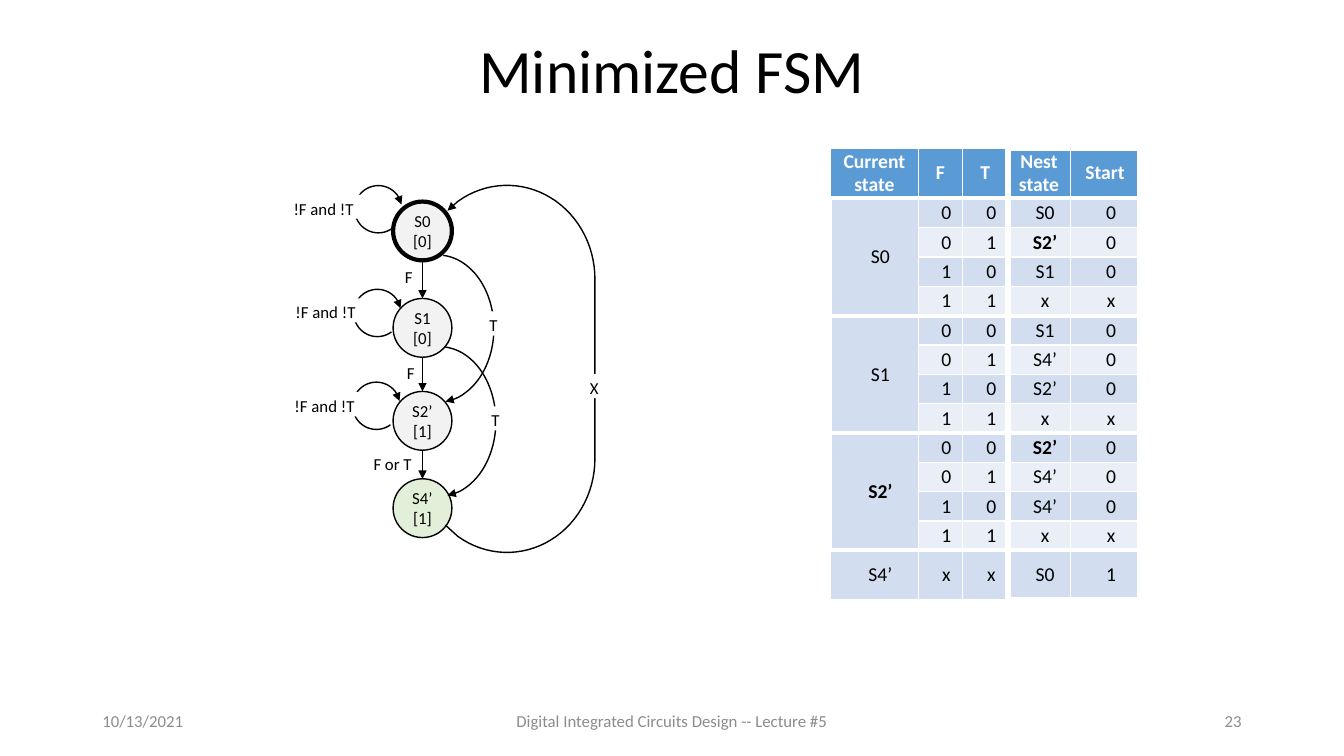
from math import cos, radians, sin
from lxml.etree import SubElement
from pptx import Presentation
from pptx.dml.color import RGBColor
from pptx.enum.shapes import MSO_CONNECTOR as CONN, MSO_SHAPE as SHAPE
from pptx.enum.text import MSO_ANCHOR as ANCHOR, MSO_AUTO_SIZE as AUTO, PP_ALIGN as ALIGN
from pptx.oxml.ns import qn
from pptx.util import Pt

BLACK = RGBColor(0x00, 0x00, 0x00)
WHITE = RGBColor(0xFF, 0xFF, 0xFF)
GREY = RGBColor(0x8C, 0x8C, 0x8C)
NODE_GREY = RGBColor(0xF2, 0xF2, 0xF2)
NODE_GREEN = RGBColor(0xE2, 0xF0, 0xD9)
HEADER_BLUE = RGBColor(0x5B, 0x9B, 0xD5)
BAND_DARK = RGBColor(0xD2, 0xDE, 0xEF)
BAND_LIGHT = RGBColor(0xEA, 0xEF, 0xF7)


def write(tf, text, size=12, color=BLACK, bold=False, align=ALIGN.CENTER, spacing=None, wrap=True):
    """Fill a text frame with one formatted paragraph per line of text."""
    tf.word_wrap = wrap
    tf.vertical_anchor = ANCHOR.MIDDLE
    for i, line in enumerate(text.split("\n")):
        p = tf.paragraphs[0] if i == 0 else tf.add_paragraph()
        p.alignment = align
        p.line_spacing = spacing
        r = p.add_run()
        r.text = line
        r.font.name = "Calibri"
        r.font.size = Pt(size)
        r.font.bold = bold
        r.font.color.rgb = color


def stroke(sp, width=1, arrow=None):
    """Give a shape a black line without shadow, with an optional headEnd or tailEnd arrow."""
    sp.line.color.rgb = BLACK
    sp.line.width = Pt(width)
    spPr = sp._element.spPr
    if arrow:
        SubElement(spPr.find(qn("a:ln")), qn("a:" + arrow)).set("type", "triangle")
    SubElement(spPr, qn("a:effectLst"))


prs = Presentation()
prs.slide_width, prs.slide_height = Pt(960), Pt(540)
slide = prs.slides.add_slide(prs.slide_layouts[5])
shapes = slide.shapes

# Title and footer
title = shapes.title
title.left, title.top, title.width, title.height = Pt(66), Pt(24), Pt(828), Pt(57)
title.text_frame.auto_size = AUTO.NONE
write(title.text_frame, "Minimized FSM", size=44, spacing=0.9)

for left, width, text, align in [
    (66, 216, "10/13/2021", ALIGN.LEFT),
    (318, 324, "Digital Integrated Circuits Design -- Lecture #5", ALIGN.CENTER),
    (678, 216, "23", ALIGN.RIGHT),
]:
    box = shapes.add_textbox(Pt(left), Pt(500.5), Pt(width), Pt(28.8))
    write(box.text_frame, text, color=GREY, align=align)

# States
NODE_SIZE, NODE_LEFT = 42, 280.8
node_tops = [144, 213.2, 279.6, 342]
node_texts = ["S0\n[0]", "S1\n[0]", "S2’\n[1]", "S4’\n[1]"]
for i, (top, text) in enumerate(zip(node_tops, node_texts)):
    node = shapes.add_shape(SHAPE.OVAL, Pt(NODE_LEFT), Pt(top), Pt(NODE_SIZE), Pt(NODE_SIZE))
    stroke(node, width=3 if i == 0 else 1)
    node.fill.solid()
    node.fill.fore_color.rgb = NODE_GREEN if i == 3 else NODE_GREY
    write(node.text_frame, text, wrap=False)

# Straight transitions from each state to the next
center_x = NODE_LEFT + NODE_SIZE / 2
for top, next_top in zip(node_tops, node_tops[1:]):
    arrow = shapes.add_connector(
        CONN.STRAIGHT, Pt(center_x), Pt(top + NODE_SIZE), Pt(center_x), Pt(next_top))
    stroke(arrow, arrow="tailEnd")

# Self loops (head arrow) and skip transitions (tail arrow)
LOOP = ((114.92, 75.89), ("flipH",), "headEnd")
SKIP = ((56.5, 158.5), ("flipH", "flipV"), "tailEnd")
for left, top, width, height, (angles, flips, end) in [
    (253.4, 132.6, 33.8, 33.8, LOOP),
    (252.7, 206.7, 33.8, 33.8, LOOP),
    (252, 273, 33.8, 33.8, LOOP),
    (272.9, 182.2, 79.9, 105.1, SKIP),
    (274.3, 247.7, 79.9, 106.6, SKIP),
]:
    arc = shapes.add_shape(SHAPE.ARC, Pt(left), Pt(top), Pt(width), Pt(height))
    arc.adjustments[0], arc.adjustments[1] = angles
    for flip in flips:
        arc._element.spPr.find(qn("a:xfrm")).set(flip, "1")
    arc.fill.background()
    stroke(arc, arrow=end)

# Return transition from S4’ to S0: two elliptical bends joined by a straight side
BEND_X, LOWER_Y, UPPER_Y, RX, RY = 362.2, 327.6, 199.4, 62.8, 67
bends = [(a, LOWER_Y) for a in range(124, -1, -4)] + [(-a, UPPER_Y) for a in range(0, 125, 4)]
points = [(BEND_X + RX * cos(radians(a)), y + RY * sin(radians(a))) for a, y in bends]
points.append((319.7, 150.5))
builder = shapes.build_freeform(Pt(318.2), Pt(375.1))
builder.add_line_segments([(Pt(x), Pt(y)) for x, y in points], close=False)
back = builder.convert_to_shape()
back.fill.background()
stroke(back, arrow="tailEnd")

# Transition labels
for left, top, width, text in [
    (203.8, 139, 54.7, "!F and !T"),
    (205.2, 213.1, 54.7, "!F and !T"),
    (204.5, 280.1, 54.7, "!F and !T"),
    (285.1, 187.9, 13.7, "F"),
    (286.6, 256.3, 13.7, "F"),
    (265.7, 321.8, 29.5, "F or T"),
    (345.6, 222.5, 13.7, "T"),
    (347, 290.2, 13.7, "T"),
    (417.6, 267.1, 13.7, "X"),
]:
    label = shapes.add_shape(SHAPE.RECTANGLE, Pt(left), Pt(top), Pt(width), Pt(17.3))
    label.shadow.inherit = False
    label.fill.solid()
    label.fill.fore_color.rgb = WHITE
    label.line.fill.background()
    tf = label.text_frame
    tf.margin_left = tf.margin_right = tf.margin_bottom = 0
    tf.margin_top = Pt(2.9)
    write(tf, text, spacing=Pt(13.8))

# State table
rows = [
    ["Current state", "F", "T", "Nest state", "Start"],
    ["S0", "0", "0", "S0", "0"],
    ["", "0", "1", "S2’", "0"],
    ["", "1", "0", "S1", "0"],
    ["", "1", "1", "x", "x"],
    ["S1", "0", "0", "S1", "0"],
    ["", "0", "1", "S4’", "0"],
    ["", "1", "0", "S2’", "0"],
    ["", "1", "1", "x", "x"],
    ["S2’", "0", "0", "S2’", "0"],
    ["", "0", "1", "S4’", "0"],
    ["", "1", "0", "S4’", "0"],
    ["", "1", "1", "x", "x"],
    ["S4’", "x", "x", "S0", "1"],
]
bold_cells = {(2, 3), (9, 0), (9, 3)}
col_widths = [62.6, 31.7, 32.4, 44.4, 50]
row_heights = [35.9] + [20.95] * 12 + [35.3]
LAST = len(rows) - 1
table = shapes.add_table(len(rows), len(col_widths), Pt(593.3), Pt(105.8),
                         Pt(sum(col_widths)), Pt(sum(row_heights))).table
for column, width in zip(table.columns, col_widths):
    column.width = Pt(width)
for row, height in zip(table.rows, row_heights):
    row.height = Pt(height)

for i, values in enumerate(rows):
    for j, text in enumerate(values):
        cell = table.cell(i, j)
        header, state = i == 0, j == 0 and 0 < i < LAST
        cell.margin_left = Pt(0 if header else 8.6)
        cell.margin_right = cell.margin_top = cell.margin_bottom = 0
        cell.vertical_anchor = ANCHOR.MIDDLE
        borders = {
            "lnL": 3 if state else 4.5 if j == 3 else 1,
            "lnR": 4.5 if j in (2, 4) else 1,
            "lnT": 4.5 if header and j > 2 else 3 if state or i % 4 == 1 else 1,
            "lnB": 4.5 if i == LAST and j > 2 else 3 if state or i % 4 == 0 else 1,
        }
        for side, width in borders.items():
            ln = SubElement(cell._tc.get_or_add_tcPr(), qn("a:" + side), w=str(Pt(width)))
            SubElement(SubElement(ln, qn("a:solidFill")), qn("a:srgbClr"), val=str(WHITE))
        cell.fill.solid()
        cell.fill.fore_color.rgb = (
            HEADER_BLUE if header else BAND_DARK if j == 0 or i % 2 else BAND_LIGHT)
        if text:
            write(cell.text_frame, text, size=14, color=WHITE if header else BLACK,
                  bold=header or (i, j) in bold_cells)
for first in (1, 5, 9):
    table.cell(first, 0).merge(table.cell(first + 3, 0))

prs.save("out.pptx")
